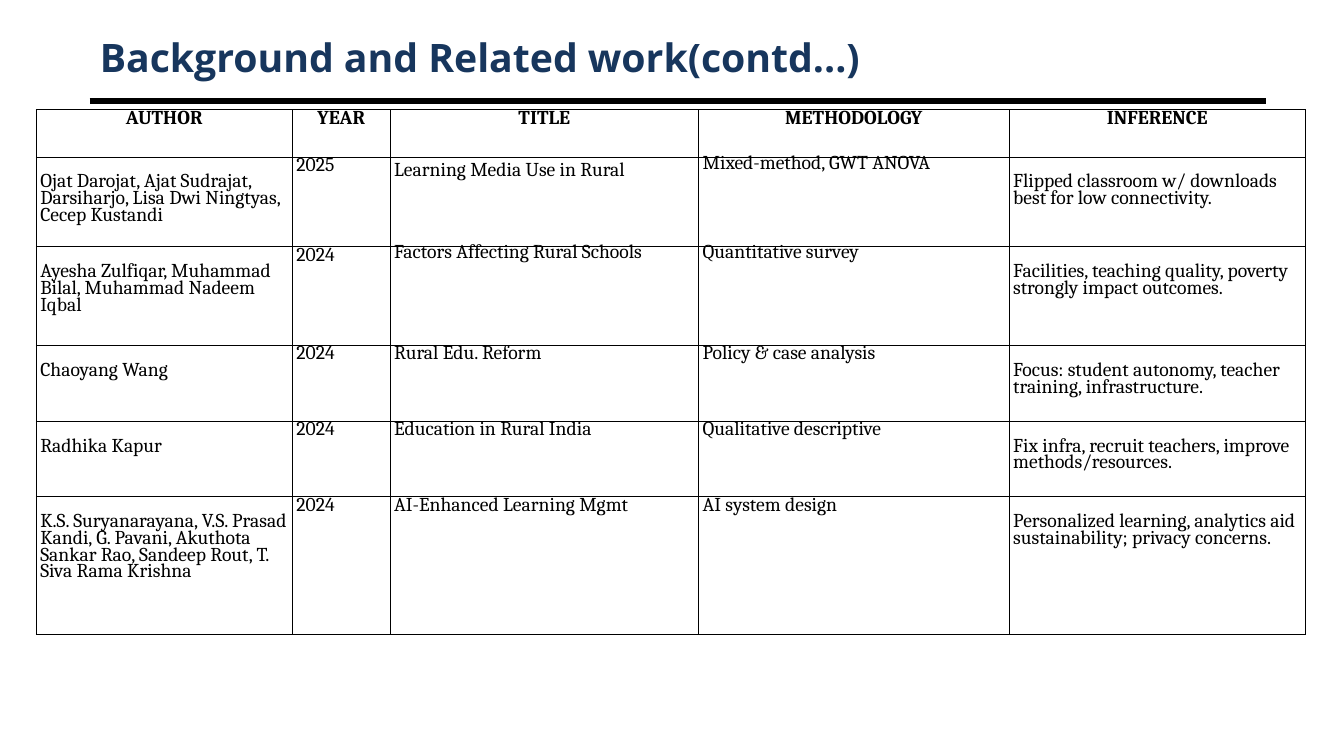
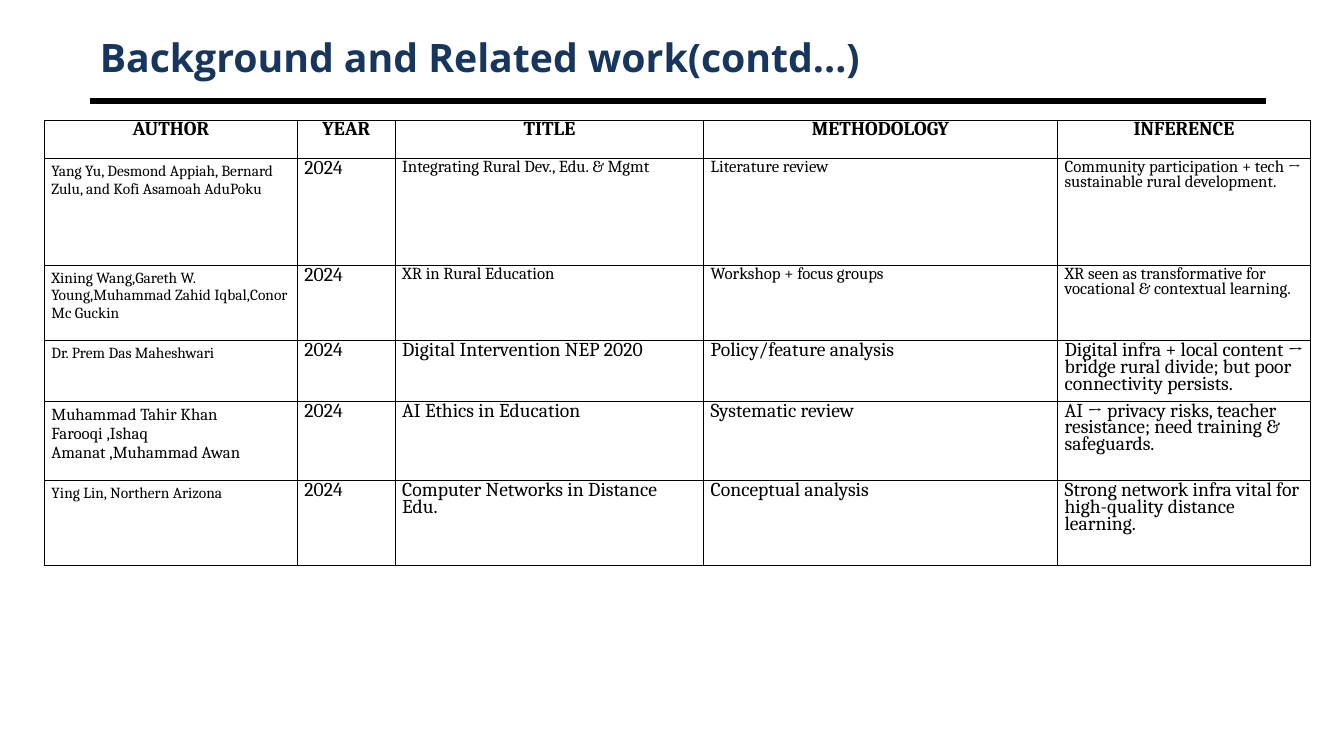
from lxml import etree
from pptx import Presentation
from pptx.dml.color import RGBColor
from pptx.enum.shapes import MSO_CONNECTOR
from pptx.enum.text import MSO_ANCHOR, MSO_AUTO_SIZE, PP_ALIGN
from pptx.oxml.ns import qn
from pptx.util import Emu, Pt

STRAIGHT = MSO_CONNECTOR.STRAIGHT
MIDDLE = MSO_ANCHOR.MIDDLE
FIXED = MSO_AUTO_SIZE.NONE
LEFT, CENTER = PP_ALIGN.LEFT, PP_ALIGN.CENTER

# Shared look, with 100 px to the inch
SCALE = 9144
BLACK, NAVY = "000000", "17365D"
TITLE = "Background and Related work(contd...)"
HEADS = ("AUTHOR", "YEAR", "TITLE", "METHODOLOGY", "INFERENCE")

# Cell styles: text size, line spacing (None is single), lines left free above
WIDE = (14, 12, 1)
HALF = (14, 6.1, 1)
TIGHT = (14, 5.3, 1)
LOW = (14, 5.3, 2)
FLAT = (14, 12, 0)
SMALL = (12, 10.5, 0)
NAME = (11, None, 0)
LARGE = (12, None, 0)

# Tables: place, column widths, side and top insets, header, rows.
# Each row has its height, its cell styles and its texts.
FIRST = {
    "at": (36, 109),
    "cols": (254, 97, 306, 308, 294),
    "inset": (4, 2),
    "head": (47, HALF),
    "rows": [
        (89, (WIDE, HALF, LOW, TIGHT, WIDE),
         ("Ojat Darojat, Ajat Sudrajat, Darsiharjo, Lisa Dwi Ningtyas, Cecep Kustandi",
          "2025", "Learning Media Use in Rural", "Mixed-method, GWT ANOVA",
          "Flipped classroom w/ downloads best for low connectivity.")),
        (98, (WIDE, HALF, TIGHT, TIGHT, WIDE),
         ("Ayesha Zulfiqar, Muhammad Bilal, Muhammad Nadeem Iqbal",
          "2024", "Factors Affecting Rural Schools", "Quantitative survey",
          "Facilities, teaching quality, poverty strongly impact outcomes.")),
        (75, (WIDE, HALF, HALF, HALF, WIDE),
         ("Chaoyang Wang", "2024", "Rural Edu. Reform", "Policy & case analysis",
          "Focus: student autonomy, teacher training, infrastructure.")),
        (75, (WIDE, HALF, HALF, HALF, WIDE),
         ("Radhika Kapur", "2024", "Education in Rural India", "Qualitative descriptive",
          "Fix infra, recruit teachers, improve methods/resources.")),
        (136, (WIDE, HALF, HALF, HALF, WIDE),
         ("K.S. Suryanarayana, V.S. Prasad Kandi, G. Pavani, Akuthota Sankar Rao, "
          "Sandeep Rout, T. Siva Rama Krishna",
          "2024", "AI-Enhanced Learning Mgmt", "AI system design",
          "Personalized learning, analytics aid sustainability; privacy concerns.")),
    ],
}
SECOND = {
    "at": (44, 119),
    "cols": (251, 97, 306, 351, 251),
    "inset": (7, 4),
    "head": (38, FLAT),
    "rows": [
        (106, (NAME, FLAT, SMALL, SMALL, SMALL),
         ("Yang Yu, Desmond Appiah, Bernard Zulu, and Kofi Asamoah AduPoku",
          "2024", "Integrating Rural Dev., Edu. & Mgmt", "Literature review",
          "Community participation + tech → sustainable rural development.")),
        (75, (NAME, FLAT, SMALL, SMALL, SMALL),
         ("Xining Wang,Gareth W. Young,Muhammad Zahid Iqbal,Conor Mc Guckin",
          "2024", "XR in Rural Education", "Workshop + focus groups",
          "XR seen as transformative for vocational & contextual learning.")),
        (60, (NAME, FLAT, FLAT, FLAT, FLAT),
         ("Dr. Prem Das Maheshwari", "2024", "Digital Intervention NEP 2020",
          "Policy/feature analysis",
          "Digital infra + local content → bridge rural divide; "
          "but poor connectivity persists.")),
        (79, (LARGE, FLAT, FLAT, FLAT, FLAT),
         ("Muhammad Tahir Khan Farooqi ,Ishaq Amanat ,Muhammad Awan",
          "2024", "AI Ethics in Education", "Systematic review",
          "AI → privacy risks, teacher resistance; need training & safeguards.")),
        (84, (NAME, FLAT, FLAT, FLAT, FLAT),
         ("Ying Lin, Northern Arizona", "2024", "Computer Networks in Distance Edu.",
          "Conceptual analysis",
          "Strong network infra vital for high-quality distance learning.")),
    ],
}


def px(count):
    return Emu(count * SCALE)


def color(code):
    return RGBColor.from_string(code)


def set_font(para, face, size, code, bold):
    font = para.font
    font.name, font.size, font.bold = face, Pt(size), bold
    font.color.rgb = color(code)


def add_rule(slide, layout):
    """Draw the rule under the title and move it to the layout."""
    rule = slide.shapes.add_connector(STRAIGHT, px(89), px(100), px(1256), px(100))
    rule.line.color.rgb = color(BLACK)
    rule.line.width = Pt(4.5)
    etree.SubElement(rule.element.spPr, qn("a:effectLst"))
    layout.shapes.element.append(rule.element)


def set_title(slide):
    frame = slide.shapes.title.text_frame
    frame.text = TITLE
    frame.auto_size = FIXED
    frame.vertical_anchor = MIDDLE
    para = frame.paragraphs[0]
    para.alignment = LEFT
    set_font(para, "Open Sans", 28, NAVY, True)


def add_edges(cell):
    props = cell._tc.get_or_add_tcPr()
    for spot, side in enumerate(("lnL", "lnR", "lnT", "lnB")):
        edge = etree.Element(qn("a:" + side), w=str(Pt(0.75)))
        fill = etree.SubElement(edge, qn("a:solidFill"))
        etree.SubElement(fill, qn("a:srgbClr"), val=BLACK)
        props.insert(spot, edge)


def fill_cell(cell, text, style, inset, head):
    size, space, free = style
    side, top = inset
    cell.text = text
    cell.margin_left = cell.margin_right = px(side)
    cell.margin_top = px(top) + Pt((space or 0) * free)
    cell.margin_bottom = px(top)
    para = cell.text_frame.paragraphs[0]
    para.alignment = CENTER if head else LEFT
    if space:
        para.line_spacing = Pt(space)
    set_font(para, "Cambria", size, BLACK, head)
    cell.fill.background()
    add_edges(cell)


def add_grid(slide, data):
    high, style = data["head"]
    rows = [(high, (style,) * len(HEADS), HEADS)] + data["rows"]
    cols = data["cols"]
    left, top = data["at"]
    grid = slide.shapes.add_table(
        len(rows), len(cols), px(left), px(top),
        px(sum(cols)), px(sum(row[0] for row in rows))).table
    grid.first_row = grid.horz_banding = False
    for col, width in zip(grid.columns, cols):
        col.width = px(width)
    for y, (high, styles, texts) in enumerate(rows):
        grid.rows[y].height = px(high)
        for x, (text, style) in enumerate(zip(texts, styles)):
            fill_cell(grid.cell(y, x), text, style, data["inset"], y == 0)


def main():
    deck = Presentation()
    deck.slide_width, deck.slide_height = px(1333), px(750)

    # The title's place and the rule belong to the layout
    layout = deck.slide_layouts.get_by_name("Title Only")
    title = layout.placeholders[0]
    title.left, title.top, title.width, title.height = map(px, (89, 30, 1167, 53))

    for data in (FIRST, SECOND):
        slide = deck.slides.add_slide(layout)
        if data is FIRST:
            add_rule(slide, layout)
        set_title(slide)
        add_grid(slide, data)
    deck.save("out.pptx")


if __name__ == "__main__":
    main()
